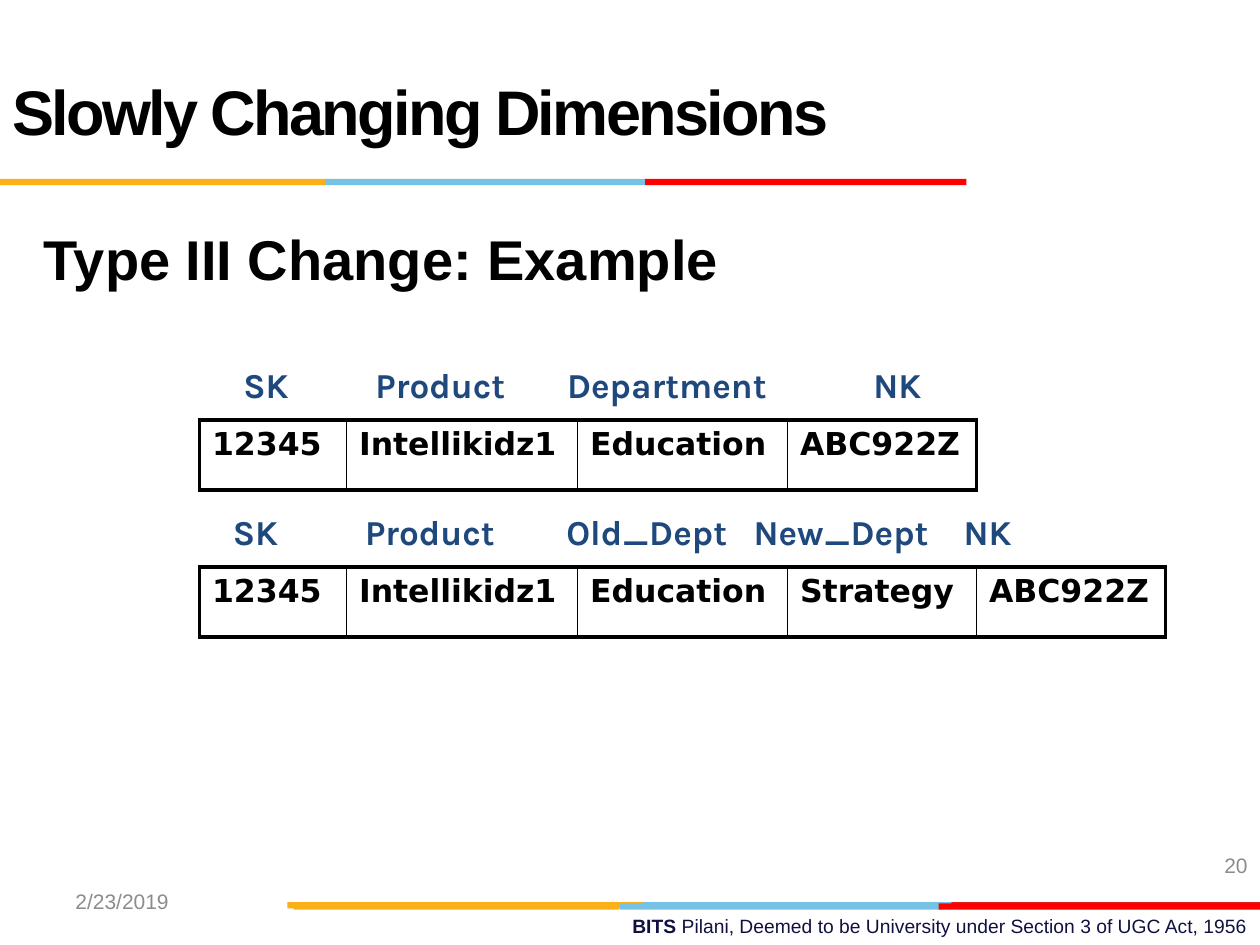
from lxml import etree
from pptx import Presentation
from pptx import util as u
from pptx.dml.color import RGBColor
from pptx.enum import shapes, text
from pptx.oxml import ns

Pt = u.Pt
COLORS = {
    "black": "000000", "navy": "101141", "blue": "1F497D", "gray": "8C8C8C",
    "amber": "FCB017", "sky": "76C2E5", "crimson": "E31C24", "red": "FF0000",
}
BAR_HEIGHT = 3.6
# Each bar: left, top, width, color
BARS = [
    (364.3, 515.5, 183.6, "sky"), (543.6, 515.5, 176.4, "crimson"), (164.2, 515.5, 203, "amber"),
    (354.2, 516.2, 183.6, "sky"), (167.8, 516.2, 186, "amber"), (536.4, 516.2, 183.6, "red"),
    (185.8, 102.2, 183.6, "sky"), (0, 102.2, 185.8, "amber"), (368.6, 102.2, 183.6, "red"),
]
ROW_HEIGHT = 40


def color(name):
    return RGBColor.from_string(COLORS[name])


def style(paragraph, size, color_name, bold=None, font="Arial"):
    paragraph.font.name = font
    paragraph.font.size = Pt(size)
    paragraph.font.color.rgb = color(color_name)
    paragraph.font.bold = bold


def add_bar(slide, left, top, width, color_name):
    bar = slide.shapes.add_shape(
        shapes.MSO_SHAPE.RECTANGLE, Pt(left), Pt(top), Pt(width), Pt(BAR_HEIGHT))
    bar.shadow.inherit = False
    bar.fill.solid()
    bar.fill.fore_color.rgb = color(color_name)
    bar.line.fill.background()


def add_text(slide, box, runs, middle=False, right=False):
    """Add a one-paragraph text box and return the paragraph."""
    frame = slide.shapes.add_textbox(*map(Pt, box)).text_frame
    frame.word_wrap = True
    if middle:
        frame.vertical_anchor = text.MSO_ANCHOR.MIDDLE
    paragraph = frame.paragraphs[0]
    if right:
        paragraph.alignment = text.PP_ALIGN.RIGHT
    for words in runs:
        paragraph.add_run().text = words
    return paragraph


def add_headings(slide, box, labels, tabs):
    """Add column headings, each after the first at its own tab stop."""
    paragraph = add_text(slide, box, ["\t".join(labels)])
    properties = paragraph._p.get_or_add_pPr()
    tab_list = etree.SubElement(properties, ns.qn("a:tabLst"))
    for position in tabs:
        etree.SubElement(tab_list, ns.qn("a:tab"), pos=str(Pt(position)), algn="l")
    style(paragraph, 20, "blue", True, "Karla")


def set_borders(cell, widths):
    """Draw the left, right, top and bottom borders, with widths in points."""
    properties = cell._tc.get_or_add_tcPr()
    for index, (side, width) in enumerate(zip("LRTB", widths)):
        line = etree.Element(ns.qn(f"a:ln{side}"), w=str(Pt(width)))
        fill = etree.SubElement(line, ns.qn("a:solidFill"))
        etree.SubElement(fill, ns.qn("a:srgbClr"), val=COLORS["black"])
        properties.insert(index, line)


def add_record(slide, left, top, values, widths):
    """Add a one-row table with a thick frame and thin dividers."""
    table = slide.shapes.add_table(
        1, len(values), Pt(left), Pt(top), Pt(sum(widths)), Pt(ROW_HEIGHT)).table
    table.first_row = table.horz_banding = False
    last = len(values) - 1
    for index, (value, width) in enumerate(zip(values, widths)):
        table.columns[index].width = Pt(width)
        cell = table.cell(0, index)
        cell.text = value
        cell.fill.background()
        style(cell.text_frame.paragraphs[0], 18, "black", True, "DejaVu Sans")
        set_borders(cell, (2.25 if index == 0 else 1, 2.25 if index == last else 1, 2.25, 2.25))


def add_footer(slide):
    legal = add_text(slide, (257.8, 519, 462.2, 21), [
        "BITS ", "Pilani, Deemed to be University under Section 3 of UGC Act, 1956"], right=True)
    style(legal, 11, "navy")
    legal.runs[0].font.bold = True
    style(add_text(slide, (36, 500.4, 168, 28.8), ["2/23/2019"], middle=True), 12, "gray")
    number = add_text(slide, (552, 480.2, 168, 28.8), ["20"], middle=True, right=True)
    style(number, 12, "gray")


def main():
    presentation = Presentation()
    presentation.slide_width, presentation.slide_height = Pt(720), Pt(540)
    slide = presentation.slides.add_slide(presentation.slide_layouts[6])

    for bar in BARS:
        add_bar(slide, *bar)
    add_footer(slide)

    subtitle = add_text(slide, (18, 132, 576, 48), ["Type III Change: Example"])
    subtitle.line_spacing = 0.8
    style(subtitle, 32, "black", True)
    title = add_text(slide, (0, 18, 612, 90), ["Slowly Changing Dimensions"], middle=True)
    style(title, 36, "black", True)
    title.runs[0].font._element.set("spc", "-150")

    add_headings(slide, (132, 204, 426, 31), ["SK", "Product", "Department", "NK"],
                 (75.5, 185, 360))
    add_record(slide, 114, 240, ["12345", "Intellikidz1", "Education", "ABC922Z"],
               (84, 132, 120, 108))
    add_headings(slide, (126, 288, 558, 31), ["SK", "Product", "Old_Dept", "New_Dept", "NK"],
                 (75.5, 190.5, 297.5, 417.5))
    add_record(slide, 114, 324, ["12345", "Intellikidz1", "Education", "Strategy", "ABC922Z"],
               (84, 132, 120, 108, 108))

    presentation.save("out.pptx")


if __name__ == "__main__":
    main()
